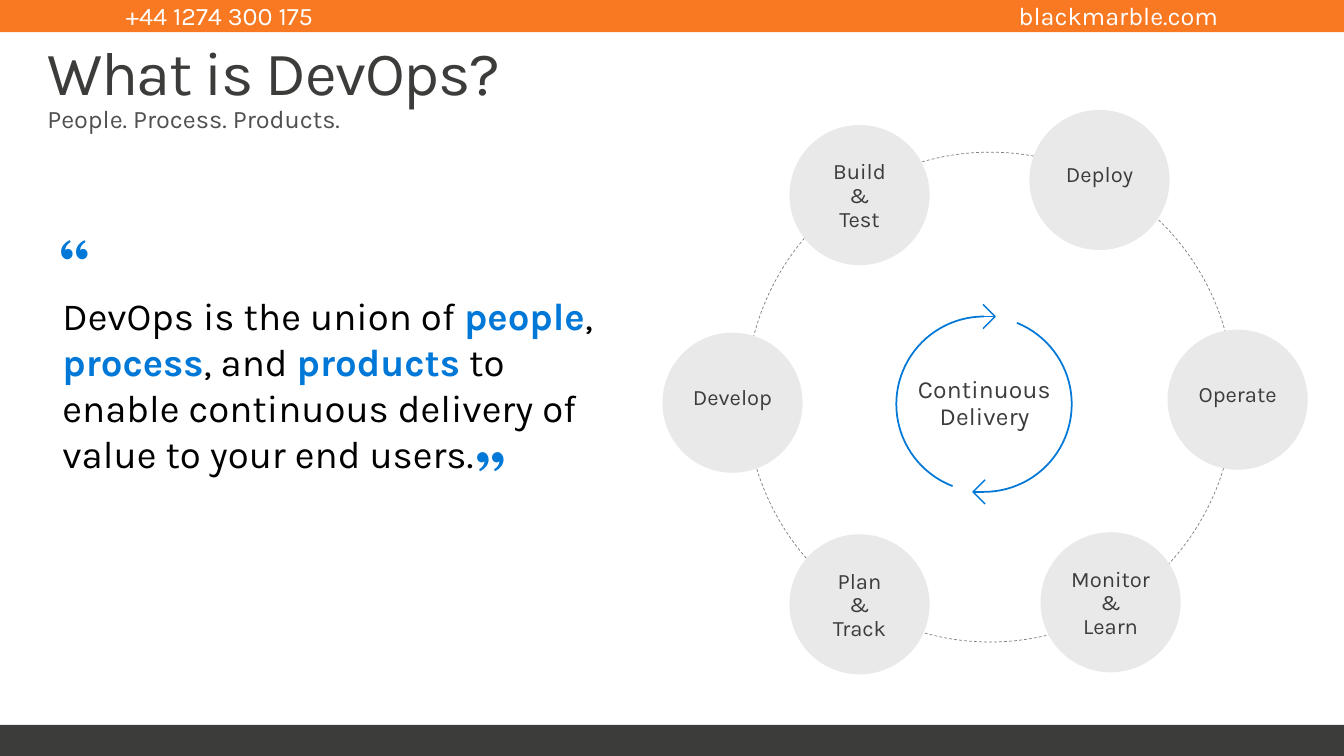
from lxml.etree import SubElement
from pptx import Presentation
from pptx.dml.color import RGBColor
from pptx.enum.dml import MSO_LINE
from pptx.enum.shapes import MSO_CONNECTOR, MSO_SHAPE
from pptx.enum.text import MSO_ANCHOR, PP_ALIGN
from pptx.oxml.ns import qn
from pptx.util import Inches, Pt

COLOURS = {
    "orange": "F97923",
    "white": "FFFFFF",
    "dark": "3C3C3B",
    "grey": "505050",
    "black": "000000",
    "blue": "0078D7",
    "circle": "E9E9E9",
    "ring": "808080",
}

presentation = Presentation()
presentation.slide_width = Inches(13.33)
presentation.slide_height = Inches(7.5)
slide = presentation.slides.add_slide(presentation.slide_layouts[6])


def add_figure(kind, box, fill=None, line=None, width=1):
    shape = slide.shapes.add_shape(kind, *[Inches(value) for value in box])
    shape.shadow.inherit = False
    if fill:
        shape.fill.solid()
        shape.fill.fore_color.rgb = RGBColor.from_string(COLOURS[fill])
    else:
        shape.fill.background()
    if line:
        shape.line.color.rgb = RGBColor.from_string(COLOURS[line])
        shape.line.width = Pt(width)
    else:
        shape.line.fill.background()
    return shape


def write(shape, runs, size, insets=(0, 0, 0, 0), align=PP_ALIGN.LEFT, anchor=MSO_ANCHOR.TOP,
          spacing=1, font="Karla", tracking=0, wrap=True):
    """Fill a shape with one paragraph of (text, colour, bold) runs; newlines become line breaks."""
    frame = shape.text_frame
    frame.word_wrap = wrap
    frame.vertical_anchor = anchor
    frame.margin_left, frame.margin_top, frame.margin_right, frame.margin_bottom = map(Inches, insets)
    paragraph = frame.paragraphs[0]
    paragraph.alignment = align
    paragraph.line_spacing = spacing
    for text, colour, bold in runs:
        for index, line in enumerate(text.split("\n")):
            if index:
                paragraph.add_line_break()
            run = paragraph.add_run()
            run.text = line
            run.font.name = font
            run.font.size = Pt(size)
            run.font.bold = bold
            run.font.color.rgb = RGBColor.from_string(COLOURS[colour])
            if tracking:
                run.font._element.set("spc", str(round(tracking * 100)))


# Header and footer bands
add_figure(MSO_SHAPE.RECTANGLE, (0, -0.01, 13.33, 0.33), "orange")
add_figure(MSO_SHAPE.RECTANGLE, (0, 7.19, 13.33, 0.31), "dark")
for left, contact, align in [(1.15, "+44 1274 300 175", PP_ALIGN.LEFT),
                             (9.82, "blackmarble.com", PP_ALIGN.RIGHT)]:
    box = slide.shapes.add_textbox(Inches(left), Inches(-0.05), Inches(2.36), Inches(0.4))
    write(box, [(contact, "white", False)], 18, (0.1, 0.05, 0.1, 0.05), align)

# Title and subtitle
subtitle = slide.shapes.add_textbox(Inches(0.47), Inches(1.03), Inches(12.4), Inches(0.3))
write(subtitle, [("People. Process. Products.", "grey", False)], 18)
title = slide.shapes.add_textbox(Inches(0.47), Inches(0.24), Inches(12.4), Inches(0.81))
write(title, [("What is DevOps?", "dark", False)], 44, (0, 0.18, 0, 0), spacing=0.9, tracking=-1)

# Quotation
quotation = slide.shapes.add_textbox(Inches(0.47), Inches(2.07), Inches(5.8), Inches(4.25))
write(quotation, [
    ("DevOps is the union of ", "black", False),
    ("people", "blue", True),
    (", ", "black", False),
    ("process", "blue", True),
    (", and ", "black", False),
    ("products", "blue", True),
    (" to enable continuous delivery of value to your end users.", "black", False),
], 27.4, (0.15, 0.83, 0.2, 0.16))
for mark, left, top in [("“", 0.47, 2.07), ("”", 4.6, 4.17)]:
    box = slide.shapes.add_textbox(Inches(left), Inches(top), Inches(0.84), Inches(1.16))
    write(box, [(mark, "blue", False)], 62.7, (0.1, 0.05, 0.1, 0.05),
          font="TeX Gyre Bonum", tracking=-0.1, wrap=False)

# Outer ring with its six stages
ring = add_figure(MSO_SHAPE.OVAL, (7.4, 1.51, 4.84, 4.86), line="ring", width=0.5)
ring.line.dash_style = MSO_LINE.DASH
stages = [
    ("Build\n&\nTest", 7.83, 1.24),
    ("Deploy", 10.21, 1.09),
    ("Operate", 11.58, 3.27),
    ("Monitor\n&\nLearn", 10.32, 5.28),
    ("Plan\n&\nTrack", 7.83, 5.3),
    ("Develop", 6.57, 3.3),
]
for stage, left, top in stages:
    circle = add_figure(MSO_SHAPE.OVAL, (left, top, 1.39, 1.39), "circle")
    insets = (0, 0.03, 0, 0) if "\n" in stage else (0, 0, 0, 0.09)
    write(circle, [(stage, "dark", False)], 15.7, insets, PP_ALIGN.CENTER,
          MSO_ANCHOR.MIDDLE, spacing=0.9)

# Inner cycle: two arcs, each ending in an open arrowhead
centre_x, centre_y, radius = 9.76, 4.01, 0.87
centre_label = slide.shapes.add_textbox(Inches(8.86), Inches(3.4), Inches(1.81), Inches(1.22))
write(centre_label, [("Continuous\nDelivery", "dark", False)], 17.6, align=PP_ALIGN.CENTER,
      anchor=MSO_ANCHOR.MIDDLE, spacing=0.9, tracking=0.1)
for start, end, side, direction in [(-68, 90, 1, -1), (111, 270, -1, 1)]:
    arc = add_figure(MSO_SHAPE.ARC, (centre_x - radius, centre_y - radius, 2 * radius, 2 * radius),
                     line="blue", width=1.25)
    # Arc angles are stored in 60000ths of a degree, adjustments in 100000ths
    arc.adjustments[0] = start % 360 * 0.6
    arc.adjustments[1] = end * 0.6

    tip_x, tip_y = centre_x + direction * 0.11, centre_y + side * radius
    back_x = tip_x - direction * 0.12
    builder = slide.shapes.build_freeform(Inches(back_x), Inches(tip_y - 0.12))
    builder.add_line_segments([(Inches(tip_x), Inches(tip_y)),
                               (Inches(back_x), Inches(tip_y + 0.12))], close=False)
    arrowhead = builder.convert_to_shape()
    arrowhead.shadow.inherit = False
    arrowhead.fill.background()
    stem = slide.shapes.add_connector(MSO_CONNECTOR.STRAIGHT, Inches(centre_x), Inches(tip_y),
                                      Inches(tip_x), Inches(tip_y))
    SubElement(stem._element.spPr, qn("a:effectLst"))
    for part in (arrowhead, stem):
        part.line.color.rgb = RGBColor.from_string(COLOURS["blue"])
        part.line.width = Pt(1)

presentation.save("out.pptx")
